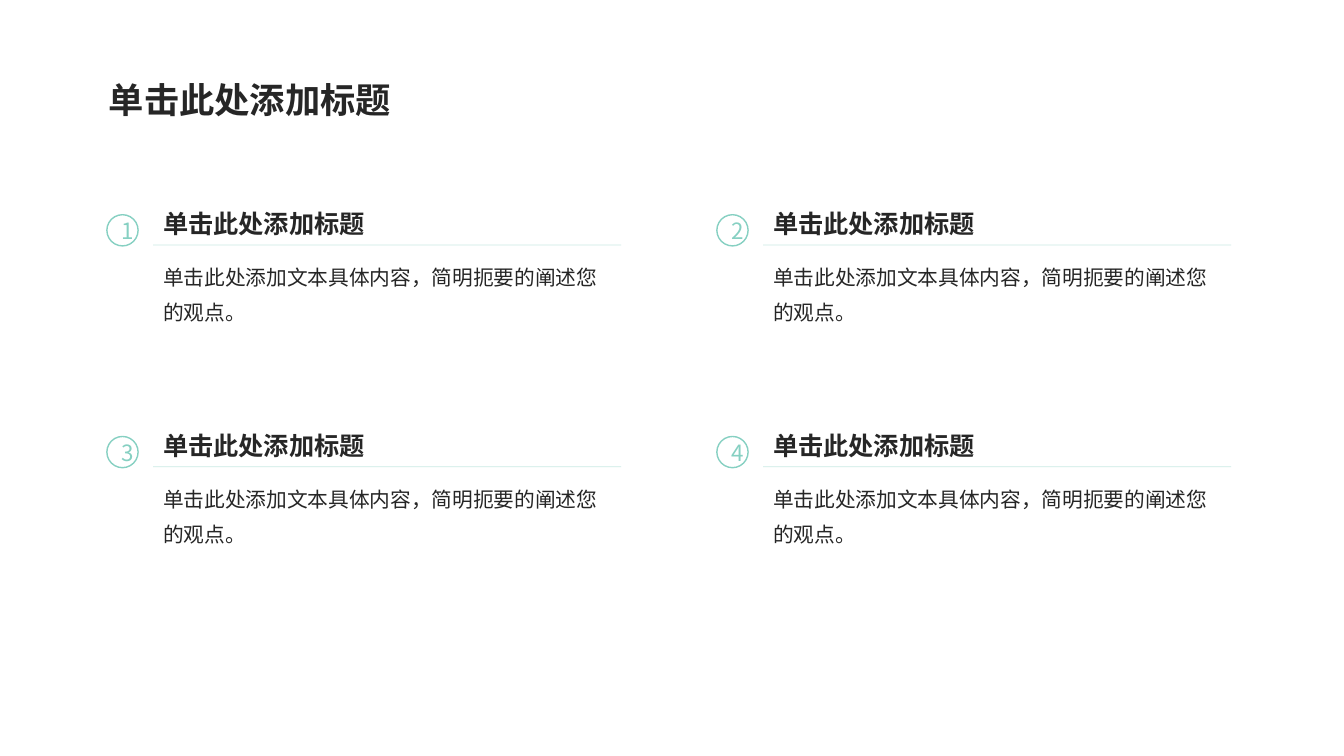
from lxml import etree
from pptx import Presentation
from pptx.dml.color import RGBColor
from pptx.enum.shapes import MSO_CONNECTOR, MSO_SHAPE
from pptx.enum.text import MSO_ANCHOR, PP_ALIGN
from pptx.oxml.ns import qn
from pptx.util import Inches, Pt

STRAIGHT = MSO_CONNECTOR.STRAIGHT
OVAL = MSO_SHAPE.OVAL
MIDDLE = MSO_ANCHOR.MIDDLE
CENTER = PP_ALIGN.CENTER

MINT = RGBColor(0x86, 0xD0, 0xC2)
INK = RGBColor(0x26, 0x26, 0x26)
FONT = "Noto Sans CJK SC"

HEADING = "单击此处添加标题"
BODY = "单击此处添加文本具体内容，简明扼要的阐述您的观点。"

# Grid of numbered points, in inches
GRID_LEFT, GRID_TOP = 1.06, 1.99
COLUMN_STEP, ROW_STEP = 6.05, 2.2
COLUMNS, POINTS = 2, 4
POINT_WIDTH = 5.1
TEXT_INDENT = 0.46
BADGE_SIZE = 0.31


def write(shape, text, size, color, bold=False, spacing=None):
    frame = shape.text_frame
    frame.word_wrap = True
    frame.text = text
    paragraph = frame.paragraphs[0]
    paragraph.line_spacing = spacing
    font = paragraph.runs[0].font
    font.size = Pt(size)
    font.bold = bold
    font.color.rgb = color
    font.name = FONT
    # East Asian characters take their typeface from a:ea
    latin = paragraph.runs[0]._r.rPr.find(qn("a:latin"))
    east_asian = etree.Element(qn("a:ea"), typeface=FONT)
    latin.addnext(east_asian)
    return paragraph


def add_text(slide, left, top, width, height, text, size, bold, spacing):
    box = slide.shapes.add_textbox(
        Inches(left), Inches(top), Inches(width), Inches(height))
    write(box, text, size, INK, bold, spacing)


def add_badge(slide, left, top, number):
    badge = slide.shapes.add_shape(
        OVAL, Inches(left), Inches(top), Inches(BADGE_SIZE), Inches(BADGE_SIZE))
    badge.shadow.inherit = False
    badge.fill.background()
    badge.line.color.rgb = MINT
    badge.line.width = Pt(1)
    badge.text_frame.vertical_anchor = MIDDLE
    write(badge, str(number), 16, MINT).alignment = CENTER


def add_rule(slide, left, top, width):
    rule = slide.shapes.add_connector(
        STRAIGHT, Inches(left), Inches(top), Inches(left + width), Inches(top))
    rule.line.color.rgb = MINT
    rule.line.width = Pt(0.5)
    properties = rule._element.spPr
    # 44 % opacity, no shadow
    color = properties.find(".//" + qn("a:srgbClr"))
    etree.SubElement(color, qn("a:alpha"), val="44000")
    etree.SubElement(properties, qn("a:effectLst"))


def add_point(slide, left, top, width, number):
    text_left = left + TEXT_INDENT
    text_width = width - TEXT_INDENT
    add_badge(slide, left, top + 0.14, number)
    add_rule(slide, text_left, top + 0.44, text_width)
    add_text(slide, text_left, top, text_width, 0.45, HEADING, 18, True, 1.1)
    add_text(slide, text_left, top + 0.49, text_width, 0.82,
             BODY, 14.8, False, 1.4)


def main():
    presentation = Presentation()
    presentation.slide_width = Inches(13.33)
    presentation.slide_height = Inches(7.5)
    slide = presentation.slides.add_slide(presentation.slide_layouts[6])

    # Slide title
    add_text(slide, 0.98, 0.64, 11.41, 0.62, HEADING, 25.2, True, 1.2)

    # Numbered points, row by row
    for index in range(POINTS):
        row, column = divmod(index, COLUMNS)
        add_point(slide, GRID_LEFT + column * COLUMN_STEP,
                  GRID_TOP + row * ROW_STEP, POINT_WIDTH, index + 1)

    presentation.save("out.pptx")


if __name__ == "__main__":
    main()
